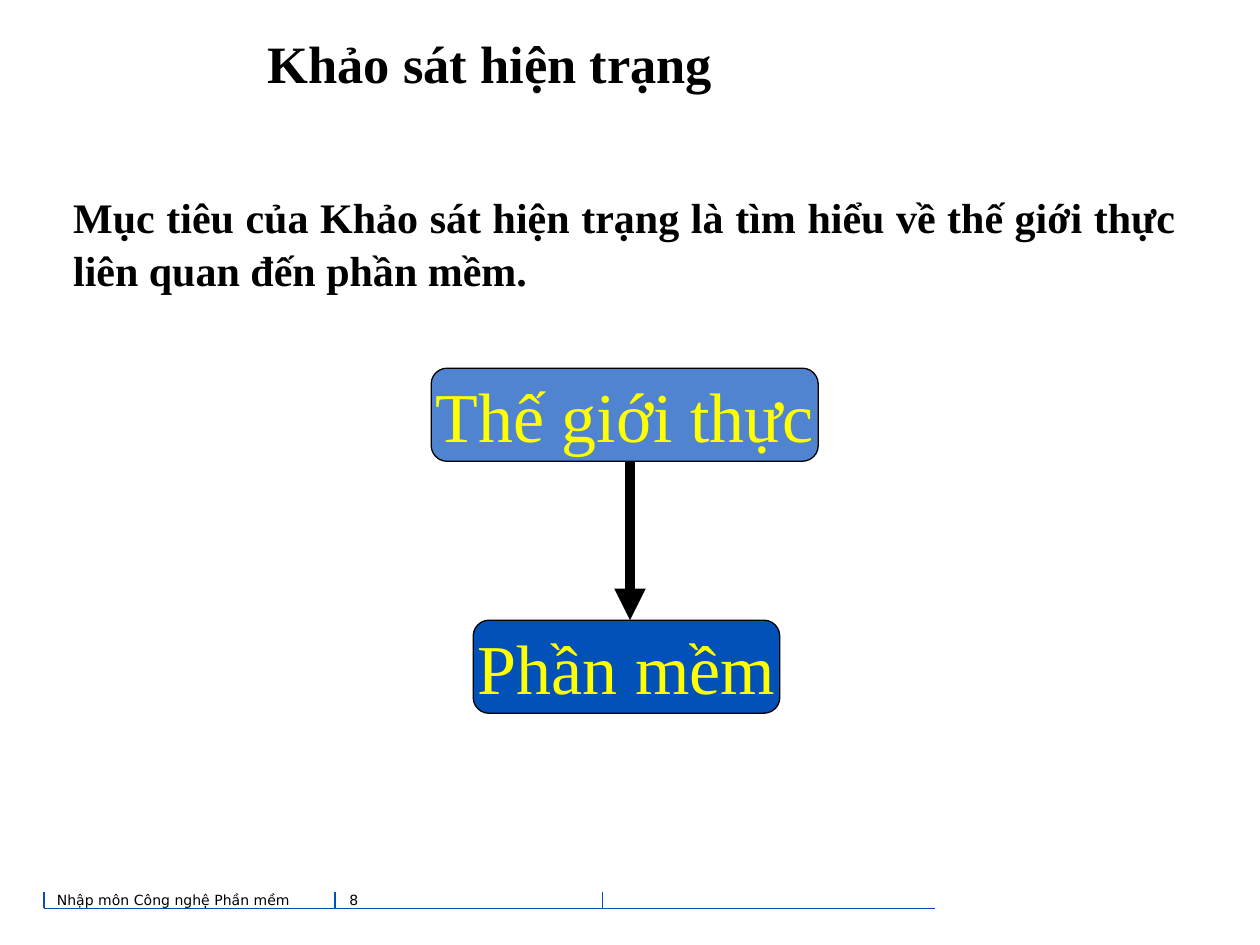
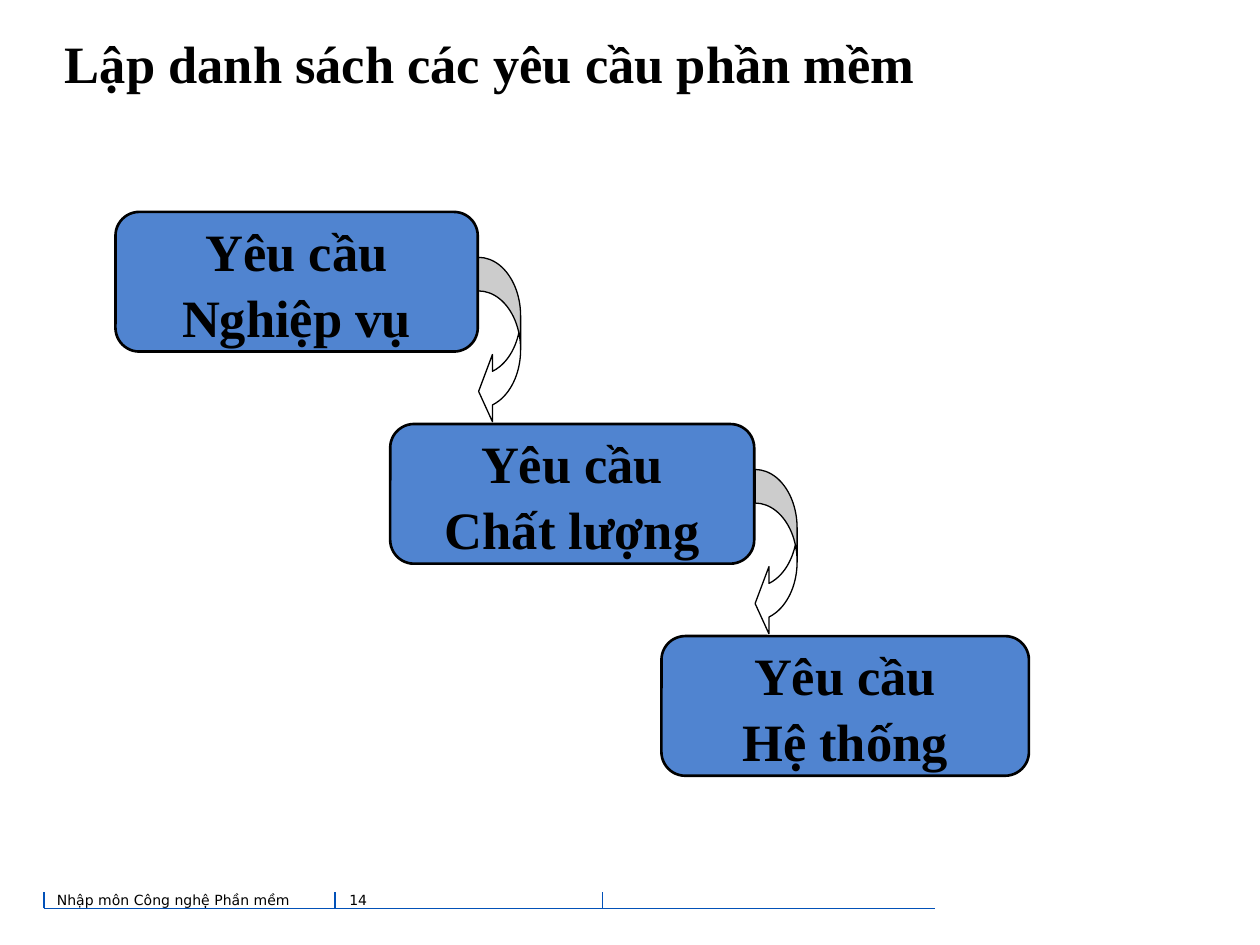
from dataclasses import dataclass

from lxml.etree import SubElement
from pptx import Presentation
from pptx.dml.color import RGBColor
from pptx.enum.shapes import MSO_CONNECTOR, MSO_SHAPE
from pptx.enum.text import MSO_ANCHOR, MSO_AUTO_SIZE, PP_ALIGN
from pptx.oxml.ns import qn
from pptx.util import Pt

# Shared style
COLORS = {"ink": "000000", "paper": "FFFFFF", "rule": "0251B8",
          "light": "5084D0", "dark": "0251B8", "label": "FFFF00"}
SERIF, SANS = "Times New Roman", "DejaVu Sans"
COURSE = "Nhập môn Công nghệ Phần mềm"
FOOTER_LEFT, FOOTER_RIGHT = 25.2, 534.2
FOOTER_TOP, FOOTER_BOTTOM = 509.8, 519.1
FOOTER_TICKS = (FOOTER_LEFT, 191.5, 344.2)


@dataclass(frozen=True)
class TextStyle:
    size: float
    font: str = SERIF
    color: str = "ink"
    bold: bool = False
    align: PP_ALIGN = PP_ALIGN.LEFT
    anchor: MSO_ANCHOR = MSO_ANCHOR.TOP
    margin: float = 0
    spacing: float = 1.0
    around: float = 0
    wrap: bool = True


@dataclass(frozen=True)
class Box:
    lines: tuple[str, ...]
    left: float
    top: float
    width: float
    height: float
    fill: str = "light"


TITLE = TextStyle(30, bold=True, align=PP_ALIGN.CENTER, anchor=MSO_ANCHOR.MIDDLE)
BODY = TextStyle(24, bold=True, align=PP_ALIGN.JUSTIFY, spacing=1.05, around=4.5)
FOOTER = TextStyle(8, font=SANS, margin=3)
NODE = TextStyle(40, color="label", align=PP_ALIGN.CENTER,
                 anchor=MSO_ANCHOR.MIDDLE, wrap=False)
STEP = TextStyle(30, bold=True, align=PP_ALIGN.CENTER,
                 anchor=MSO_ANCHOR.MIDDLE, spacing=1.05)


def rgb(name: str) -> RGBColor:
    return RGBColor.from_string(COLORS[name])


def write(tf, lines: tuple[str, ...], style: TextStyle) -> None:
    tf.auto_size = MSO_AUTO_SIZE.NONE
    tf.word_wrap = style.wrap
    tf.vertical_anchor = style.anchor
    tf.margin_left = tf.margin_right = Pt(style.margin)
    tf.margin_top = tf.margin_bottom = Pt(style.margin)
    for i, line in enumerate(lines):
        p = tf.add_paragraph() if i else tf.paragraphs[0]
        p.alignment = style.align
        p.line_spacing = style.spacing
        p.space_before = p.space_after = Pt(style.around)
        r = p.add_run()
        r.text = line
        r.font.name, r.font.size, r.font.bold = style.font, Pt(style.size), style.bold
        r.font.color.rgb = rgb(style.color)


def add_text(s, text: str, left: float, top: float, width: float, height: float,
             style: TextStyle) -> None:
    box = s.shapes.add_textbox(Pt(left), Pt(top), Pt(width), Pt(height))
    write(box.text_frame, (text,), style)


def add_line(s, x1: float, y1: float, x2: float, y2: float, color: str = "rule",
             width: float = 0.75, arrow: bool = False) -> None:
    line = s.shapes.add_connector(MSO_CONNECTOR.STRAIGHT, Pt(x1), Pt(y1), Pt(x2), Pt(y2))
    line.line.color.rgb = rgb(color)
    line.line.width = Pt(width)
    if arrow:
        SubElement(line.line._get_or_add_ln(), qn("a:tailEnd"), type="triangle")
    SubElement(line._element.spPr, qn("a:effectLst"))


def add_shape(s, kind: MSO_SHAPE, left: float, top: float, width: float, height: float,
              fill: str, outline: float, adjustments: tuple[float, ...]):
    sp = s.shapes.add_shape(kind, Pt(left), Pt(top), Pt(width), Pt(height))
    sp.shadow.inherit = False
    sp.fill.solid()
    sp.fill.fore_color.rgb = rgb(fill)
    sp.line.color.rgb = rgb("ink")
    sp.line.width = Pt(outline)
    for i, value in enumerate(adjustments):
        sp.adjustments[i] = value
    return sp


def add_box(s, box: Box, style: TextStyle, outline: float) -> None:
    sp = add_shape(s, MSO_SHAPE.ROUNDED_RECTANGLE, box.left, box.top, box.width,
                   box.height, box.fill, outline, (0.17,))
    write(sp.text_frame, box.lines, style)


def add_slide(prs, title: str, number: int):
    s = prs.slides.add_slide(prs.slide_layouts[5])
    # Title
    sp = s.shapes.title
    sp.left, sp.top, sp.width, sp.height = Pt(25.2), Pt(5), Pt(509.8), Pt(61.2)
    write(sp.text_frame, (title,), TITLE)
    # Footer
    add_line(s, FOOTER_RIGHT, FOOTER_BOTTOM, FOOTER_LEFT, FOOTER_BOTTOM)
    for x in FOOTER_TICKS:
        add_line(s, x, FOOTER_BOTTOM, x, FOOTER_TOP)
    add_text(s, COURSE, 29.5, 506.2, 157.7, 18, FOOTER)
    add_text(s, str(number), 196.6, 506.2, 90, 18, FOOTER)
    return s


def survey_slide(prs) -> None:
    s = add_slide(prs, "Khảo sát hiện trạng", 8)
    add_text(s, "Mục tiêu của Khảo sát hiện trạng là tìm hiểu về thế giới thực "
                "liên quan đến phần mềm.", 41.8, 108, 630, 360, BODY)
    # Real world leads to software
    world = Box(("Thế giới thực",), 246.4, 210.4, 221.2, 53.2)
    software = Box(("Phần mềm",), 270.4, 354.4, 175.2, 53.2, "dark")
    for box in (software, world):
        add_box(s, box, NODE, 0.75)
    add_line(s, 360, world.top + world.height, 360, software.top, "ink", 6, arrow=True)


def requirements_slide(prs) -> None:
    s = add_slide(prs, "Lập danh sách các yêu cầu phần mềm", 14)
    # Staircase of requirement kinds
    top, rise, height = 121.1, 121.2, 79.8
    stairs = ((("Yêu cầu Nghiệp vụ",), 66, 207),
              (("Yêu cầu", "Chất lượng"), 223, 208),
              (("Yêu cầu", "Hệ thống"), 378, 210))
    boxes = [Box(lines, left, top + i * rise, width, height)
             for i, (lines, left, width) in enumerate(stairs)]
    for box in boxes:
        add_box(s, box, STEP, 1.5)
    # Curved arrow from each step to the next
    for box in boxes[:-1]:
        add_shape(s, MSO_SHAPE.CURVED_LEFT_ARROW, box.left + box.width + 0.5,
                  box.top + 26, 24, 95.8, "paper", 0.75, (0.8, 1.6, 0.33))


def main() -> None:
    prs = Presentation()
    prs.slide_width, prs.slide_height = Pt(720), Pt(540)
    survey_slide(prs)
    requirements_slide(prs)
    prs.save("out.pptx")


if __name__ == "__main__":
    main()
